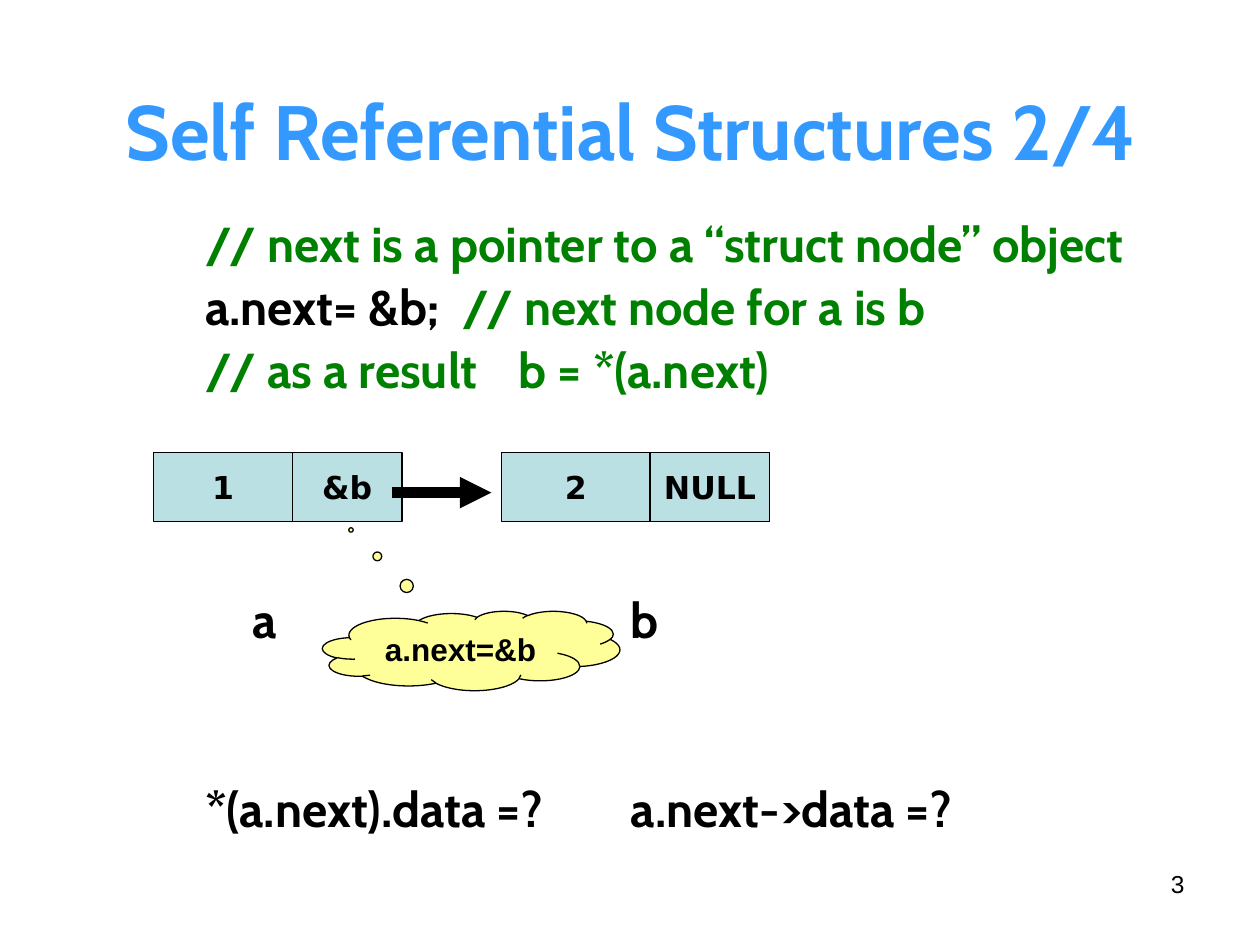
from lxml import etree
from pptx import Presentation
from pptx import util as u
from pptx.dml import color
from pptx.enum import shapes, text
from pptx.oxml import ns

BLACK, GREEN, BLUE = "000000", "008000", "3399FF"
CELL_FILL, CLOUD_FILL = "BBE0E3", "FFFF99"


def rgb(value):
    """Turn a hex string into a colour."""
    return color.RGBColor.from_string(value)


def add_span(para, words, size, font, ink=BLACK, bold=True):
    """Add one run of text to a paragraph."""
    span = para.add_run()
    span.text = words
    span.font.size = u.Pt(size)
    span.font.name = font
    span.font.bold = bold
    span.font.color.rgb = rgb(ink)


def add_box(page, left, top, width, height, anchor=text.MSO_ANCHOR.TOP):
    """Add an empty wrapping text box and return its frame."""
    box = page.shapes.add_textbox(*map(u.Inches, (left, top, width, height)))
    box.text_frame.word_wrap = True
    box.text_frame.vertical_anchor = anchor
    return box.text_frame


def add_line_box(page, left, top, width, height, words, size, font, align,
                 ink=BLACK, bold=True):
    """Add a text box that holds a single line, centred vertically."""
    frame = add_box(page, left, top, width, height, text.MSO_ANCHOR.MIDDLE)
    para = frame.paragraphs[0]
    para.alignment = align
    add_span(para, words, size, font, ink, bold)


def add_code(page, left, top, width, lines):
    """Add code lines, each a list of (words, ink) and an optional tab stop."""
    frame = add_box(page, left, top, width, 0.5 * len(lines))
    for index, (spans, stop) in enumerate(lines):
        para = frame.add_paragraph() if index else frame.paragraphs[0]
        para.line_spacing = 0.9
        para.space_before = u.Pt(5.6)
        if stop:
            tabs = etree.SubElement(para._p.get_or_add_pPr(), ns.qn("a:tabLst"))
            etree.SubElement(tabs, ns.qn("a:tab"),
                             pos=str(u.Inches(stop)), algn="l")
        for words, ink in spans:
            add_span(para, words, 28, "Cabin", ink)


def add_filled(page, kind, left, top, width, height, fill, words, font):
    """Add an outlined shape with a centred 18 point label."""
    shape = page.shapes.add_shape(
        kind, *map(u.Inches, (left, top, width, height)))
    shape.shadow.inherit = False
    shape.fill.solid()
    shape.fill.fore_color.rgb = rgb(fill)
    shape.line.color.rgb = rgb(BLACK)
    shape.line.width = u.Pt(0.75)
    frame = shape.text_frame
    frame.margin_left = frame.margin_right = 0
    frame.vertical_anchor = text.MSO_ANCHOR.MIDDLE
    frame.paragraphs[0].alignment = text.PP_ALIGN.CENTER
    add_span(frame.paragraphs[0], words, 18, font)
    return shape


def add_node(page, left, top, height, cells):
    """Add a list node as a row of adjoining (width, label) cells."""
    for width, label in cells:
        add_filled(page, shapes.MSO_SHAPE.RECTANGLE, left, top, width, height,
                   CELL_FILL, label, "DejaVu Sans")
        left += width


def add_pointer(page, left, right, y):
    """Add the thick arrow from one node to the next."""
    arrow = page.shapes.add_connector(
        shapes.MSO_CONNECTOR.STRAIGHT, *map(u.Inches, (left, y, right, y)))
    arrow.line.color.rgb = rgb(BLACK)
    arrow.line.width = u.Pt(6)
    etree.SubElement(arrow.line._get_or_add_ln(), ns.qn("a:tailEnd"),
                     type="triangle")
    etree.SubElement(arrow._element.spPr, ns.qn("a:effectLst"))


def add_diagram(page, left, top):
    """Add both nodes, the pointer, the thought cloud and the node names."""
    add_node(page, left + 2.76, top, 0.55, [(1.18, "2"), (0.95, "NULL")])
    add_node(page, left, top, 0.55, [(1.1, "1"), (0.87, "&b")])
    add_pointer(page, left + 1.89, left + 2.68, top + 0.32)
    cloud = add_filled(page, shapes.MSO_SHAPE.CLOUD_CALLOUT, left + 1.34,
                       top + 1.26, 2.36, 0.63, CLOUD_FILL, "a.next=&b", "Arial")
    cloud.adjustments[0] = -0.404
    cloud.adjustments[1] = -1.522
    for offset, name in ((0.69, "a"), (3.69, "b")):
        add_code(page, left + offset, top + 1.09, 0.6, [([(name, BLACK)], None)])


def build_slide(deck):
    """Build the slide on self referential structures."""
    page = deck.slides.add_slide(deck.slide_layouts[6])
    add_line_box(page, 0.51, 0.28, 9, 1.5, "Self Referential Structures 2/4",
                 44, "Cabin", text.PP_ALIGN.CENTER, BLUE)
    add_code(page, 1.53, 1.7, 7.96, [
        ([("// next is a pointer to a “struct node” object", GREEN)], None),
        ([("a.next= &b;\t", BLACK), ("// next node for a is b", GREEN)], 2.04),
        ([("// as a result\tb = *(a.next)", GREEN)], 2.49),
    ])
    add_diagram(page, 1.22, 3.59)
    for left, question in ((1.53, "*(a.next).data =?"),
                           (4.91, "a.next->data =?")):
        add_code(page, left, 6.18, 3.3, [([(question, BLACK)], None)])
    add_line_box(page, 7.17, 6.75, 2.33, 0.52, "3", 14, "Arial",
                 text.PP_ALIGN.RIGHT, bold=False)


deck = Presentation()
deck.slide_width, deck.slide_height = u.Inches(10), u.Inches(7.5)
build_slide(deck)
deck.save("out.pptx")
